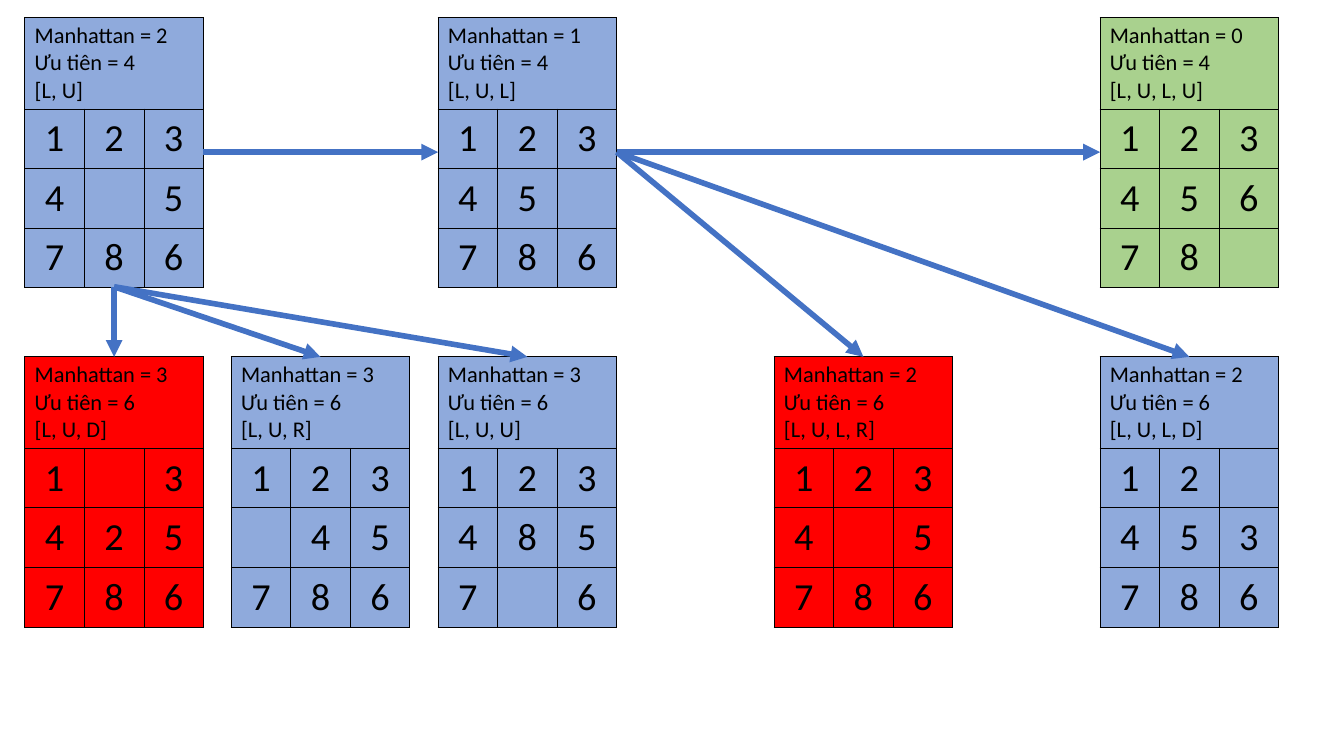
from dataclasses import dataclass

from lxml.etree import SubElement
from pptx import Presentation
from pptx.dml.color import RGBColor
from pptx.enum.shapes import MSO_CONNECTOR
from pptx.enum.text import MSO_ANCHOR, PP_ALIGN
from pptx.oxml.ns import qn
from pptx.util import Cm, Pt

COLORS = {
    "open": "8FAADC",
    "repeated": "FF0000",
    "goal": "A9D18E",
    "ink": "000000",
    "arrow": "4472C4",
}
FONT = "Calibri"
TILE = 2.25
HEADER = 3.43
WIDTH = 3 * TILE
HEIGHT = HEADER + 3 * TILE
COLUMNS = (0.94, 8.74, 16.56, 29.26, 41.58)
ROWS = (0.66, 13.49)


@dataclass(frozen=True)
class State:
    """A search node: its grid position, scores, moves, tiles and status."""

    column: int
    row: int
    manhattan: int
    priority: int
    moves: str
    tiles: str
    status: str = "open"

    def side(self, x_share: float, y_share: float) -> tuple:
        """Return a point on the board as a share of its width and height."""
        x = COLUMNS[self.column] + WIDTH * x_share
        y = ROWS[self.row] + HEIGHT * y_share
        return Cm(x), Cm(y)


PARENT = State(0, 0, 2, 4, "L, U", "1234 5786")
BEST = State(2, 0, 1, 4, "L, U, L", "12345 786")
GOAL = State(4, 0, 0, 4, "L, U, L, U", "12345678 ", "goal")
PARENT_CHILDREN = (
    State(0, 1, 3, 6, "L, U, D", "1 3425786", "repeated"),
    State(1, 1, 3, 6, "L, U, R", "123 45786"),
    State(2, 1, 3, 6, "L, U, U", "1234857 6"),
)
BEST_CHILDREN = (
    State(3, 1, 2, 6, "L, U, L, R", "1234 5786", "repeated"),
    State(4, 1, 2, 6, "L, U, L, D", "12 453786"),
)


def style_cell(cell, fill: str) -> None:
    """Give a cell its borders, fill, margins and anchor."""
    properties = cell._tc.get_or_add_tcPr()
    for edge in ("a:lnL", "a:lnR", "a:lnT", "a:lnB"):
        line = SubElement(properties, qn(edge), w=str(Pt(1)))
        solid = SubElement(line, qn("a:solidFill"))
        SubElement(solid, qn("a:srgbClr"), val=COLORS["ink"])
    cell.fill.solid()
    cell.fill.fore_color.rgb = RGBColor.from_string(fill)
    cell.margin_left = cell.margin_right = Cm(0.37)
    cell.margin_top = cell.margin_bottom = Cm(0.18)
    cell.vertical_anchor = MSO_ANCHOR.MIDDLE


def format_text(cell, size: int, alignment: PP_ALIGN) -> None:
    """Format every run of a cell."""
    for paragraph in cell.text_frame.paragraphs:
        paragraph.alignment = alignment
        for run in paragraph.runs:
            run.font.name = FONT
            run.font.size = Pt(size)
            run.font.bold = False
            run.font.color.rgb = RGBColor.from_string(COLORS["ink"])


def draw_state(slide, state: State) -> None:
    """Draw a state as a header above a three by three board."""
    left, top = state.side(0, 0)
    board = slide.shapes.add_table(4, 3, left, top, Cm(WIDTH), Cm(HEIGHT)).table
    for column in board.columns:
        column.width = Cm(TILE)
    for index, row in enumerate(board.rows):
        row.height = Cm(TILE if index else HEADER)
    for cell in board.iter_cells():
        style_cell(cell, COLORS[state.status])

    header = board.cell(0, 0)
    header.merge(board.cell(0, 2))
    scores = header.text_frame.paragraphs[0]
    scores.text = f"Manhattan = {state.manhattan}\vƯu tiên = {state.priority}"
    header.text_frame.add_paragraph().text = f"[{state.moves}]"
    format_text(header, 24, PP_ALIGN.LEFT)

    for index, tile in enumerate(state.tiles):
        if tile != " ":
            cell = board.cell(index // 3 + 1, index % 3)
            cell.text_frame.text = tile
            format_text(cell, 41, PP_ALIGN.CENTER)


def draw_arrow(slide, start: tuple, end: tuple) -> None:
    """Draw a straight arrow between two points."""
    arrow = slide.shapes.add_connector(MSO_CONNECTOR.STRAIGHT, *start, *end)
    arrow.line.width = Pt(6)
    arrow.line.color.rgb = RGBColor.from_string(COLORS["arrow"])
    SubElement(arrow.line._get_or_add_ln(), qn("a:tailEnd"), type="triangle")
    SubElement(arrow._element.spPr, qn("a:effectLst"))


def main() -> None:
    """Build the search tree slide."""
    presentation = Presentation()
    presentation.slide_width = Cm(50.8)
    presentation.slide_height = Cm(28.58)
    slide = presentation.slides.add_slide(presentation.slide_layouts[6])

    for state in (PARENT, BEST, GOAL, *PARENT_CHILDREN, *BEST_CHILDREN):
        draw_state(slide, state)

    for child in PARENT_CHILDREN:
        draw_arrow(slide, PARENT.side(0.5, 1), child.side(0.5, 0))
    for child in BEST_CHILDREN:
        draw_arrow(slide, BEST.side(1, 0.5), child.side(0.5, 0))
    for source, target in ((PARENT, BEST), (BEST, GOAL)):
        draw_arrow(slide, source.side(1, 0.5), target.side(0, 0.5))

    presentation.save("out.pptx")


if __name__ == "__main__":
    main()
